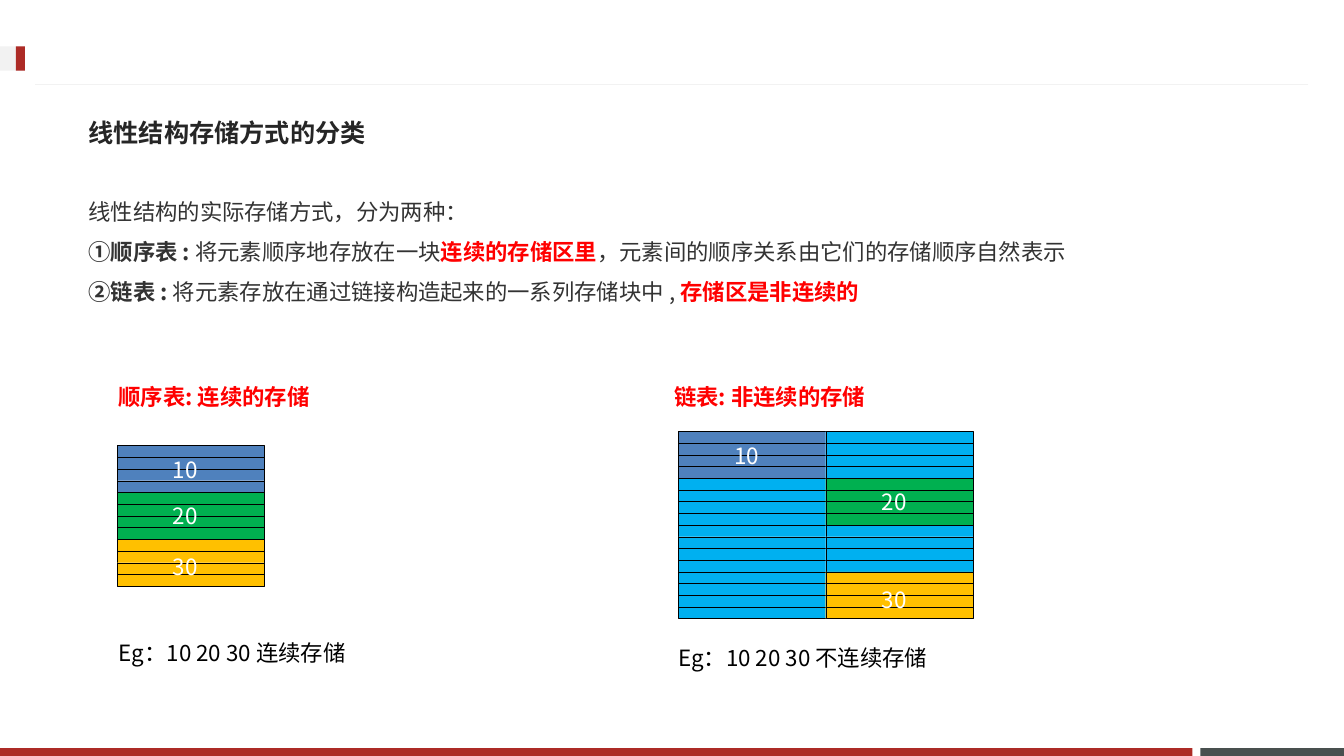
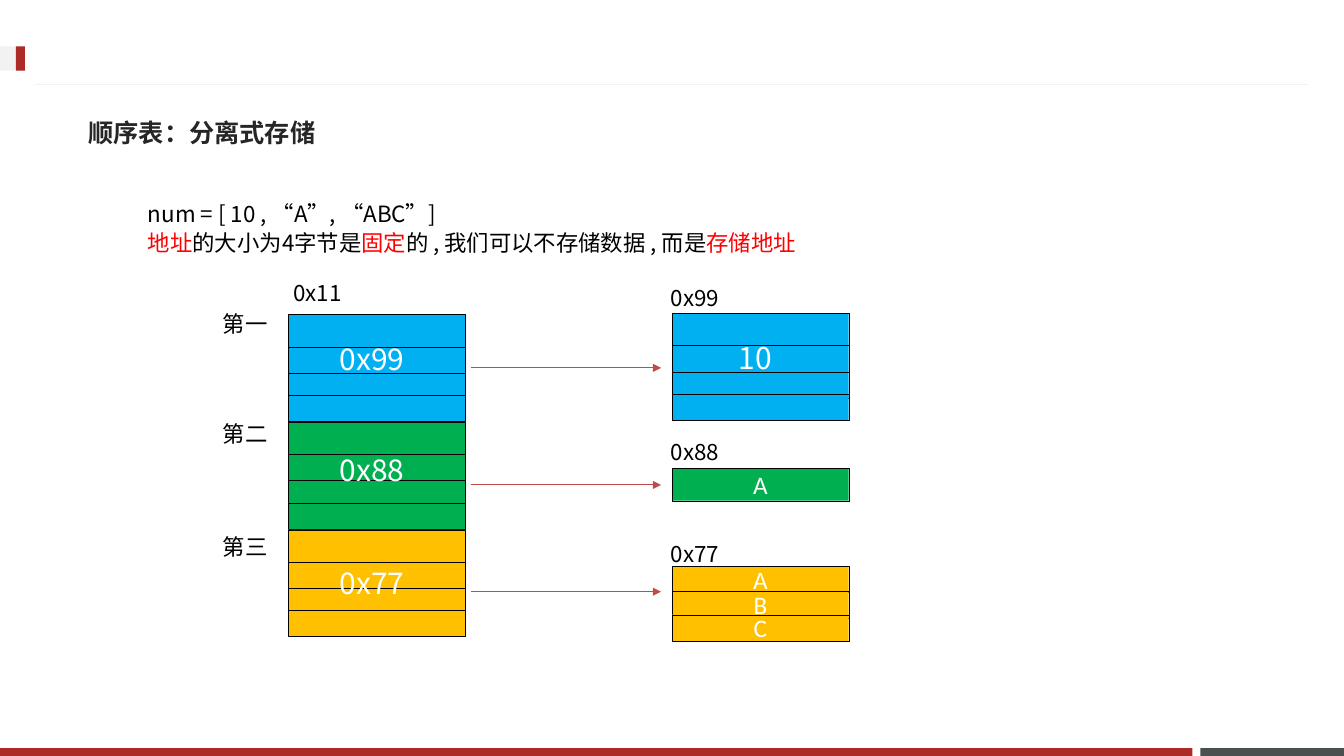
from dataclasses import dataclass
from lxml.etree import SubElement
from pptx import Presentation
from pptx.dml.color import RGBColor
from pptx.enum.shapes import MSO_CONNECTOR as Connector, MSO_SHAPE as Shape
from pptx.enum.text import MSO_ANCHOR as Anchor, PP_ALIGN as Align
from pptx.oxml.ns import qn
from pptx.util import Cm, Pt


@dataclass(frozen=True)
class Theme:
    brand: str = "AD2B26"
    slate: str = "49504F"
    pale: str = "F2F2F2"
    title: str = "262626"
    body: str = "333333"
    black: str = "000000"
    white: str = "FFFFFF"
    accent: str = "FF0000"
    arrow: str = "BF4C48"
    navy: str = "4F81BD"
    sky: str = "00B0F0"
    green: str = "00B050"
    amber: str = "FFC000"
    title_font: str = "Noto Sans CJK JP"
    text_font: str = "Noto Sans CJK SC"
    cell_font: str = "Calibri"
    title_size: float = 18
    text_size: float = 16
    value_size: float = 21.4
    cell_size: float = 18
    hairline: float = 0.25
    rule: float = 0.75


THEME = Theme()
WIDTH, HEIGHT = 33.87, 19.05
CELL_WIDTH, MEMORY_WIDTH = 3.71, 4.45
WORD_HEIGHT = 1.18
BYTE_ROWS = [(index * WORD_HEIGHT / 4, WORD_HEIGHT / 4) for index in range(4)]
MEMORY_ROWS = [(0, 0.81), (0.81, 0.66), (1.47, 0.66), (2.03, 0.66)]
LETTER_ROWS = [(0, 0.66), (0.64, 0.66), (1.22, 0.66)]


def lengths(*values):
    return [Cm(value) for value in values]


def apply(target, formats):
    for name, value in formats.items():
        setattr(target, name, value)


def add_run(paragraph, text, color=THEME.black, size=THEME.text_size,
            font=THEME.text_font, bold=False):
    run = paragraph.add_run()
    run.text = text
    apply(run.font, {"size": Pt(size), "bold": bold, "name": font})
    run.font.color.rgb = RGBColor.from_string(color)
    SubElement(run._r.get_or_add_rPr(), qn("a:ea"), typeface=font)


def add_text(slide, box, lines, spacing=None, anchor=Anchor.TOP, **formats):
    frame = slide.shapes.add_textbox(*lengths(*box)).text_frame
    apply(frame, {"word_wrap": True, "vertical_anchor": anchor})
    if isinstance(lines, str):
        lines = [[(lines, {})]]
    for index, runs in enumerate(lines):
        paragraph = frame.add_paragraph() if index else frame.paragraphs[0]
        if spacing:
            paragraph.line_spacing = spacing
        for text, extra in runs:
            add_run(paragraph, text, **{**formats, **extra})


def add_block(slide, box, fill, outlined=False, letter=""):
    shape = slide.shapes.add_shape(Shape.RECTANGLE, *lengths(*box))
    shape.shadow.inherit = False
    shape.fill.solid()
    shape.fill.fore_color.rgb = RGBColor.from_string(fill)
    if outlined:
        shape.line.color.rgb = RGBColor.from_string(THEME.black)
        shape.line.width = Pt(THEME.hairline)
    else:
        shape.line.fill.background()
    if letter:
        apply(shape.text_frame, {"vertical_anchor": Anchor.MIDDLE})
        paragraph = shape.text_frame.paragraphs[0]
        paragraph.alignment = Align.CENTER
        add_run(paragraph, letter, THEME.white, THEME.cell_size, THEME.cell_font)


def add_line(slide, start, end, color, arrow=False):
    connector = slide.shapes.add_connector(
        Connector.STRAIGHT, *lengths(*start, *end))
    connector.line.color.rgb = RGBColor.from_string(color)
    connector.line.width = Pt(THEME.rule)
    if arrow:
        SubElement(connector.line._get_or_add_ln(), qn("a:tailEnd"), type="triangle")
    SubElement(connector._element.spPr, qn("a:effectLst"))


def add_frame(slide, title):
    add_block(slide, (30.25, 18.85, 3.62, 0.2), THEME.slate)
    add_block(slide, (0, 18.85, 30.05, 0.2), THEME.brand)
    add_line(slide, (32.97, 2.13), (0.89, 2.13), THEME.pale)
    add_block(slide, (0, 1.17, 0.63, 0.61), THEME.pale)
    add_block(slide, (0.4, 1.17, 0.23, 0.61), THEME.brand)
    add_text(slide, (1.98, 2.62, 29.72, 1.45), title, anchor=Anchor.MIDDLE,
             color=THEME.title, size=THEME.title_size,
             font=THEME.title_font, bold=True)


def add_stack(slide, left, top, width, rows, fill, letters=""):
    for index, (offset, height) in enumerate(rows):
        add_block(slide, (left, top + offset, width, height), fill,
                  True, letters[index:index + 1])


def add_value(slide, left, top, text, size=THEME.text_size):
    add_text(slide, (left, top, 2.3, 1), text, color=THEME.white, size=size)


def add_words(slide, left, top, words):
    for index, (fill, value, shift) in enumerate(words):
        word_top = top + index * WORD_HEIGHT
        add_stack(slide, left, word_top, CELL_WIDTH, BYTE_ROWS, fill)
        if value:
            add_value(slide, left + 1.16, word_top + shift, value)


def add_caption(slide, left, top, text):
    add_text(slide, (left, top, 5.35, 0.94), text,
             color=THEME.accent, bold=True)


def add_sequential(slide, left, top):
    add_caption(slide, left, top, "顺序表: 连续的存储")
    add_words(slide, left + 0.21, top + 1.7, [
        (THEME.navy, "10", 0.15), (THEME.green, "20", 0.13),
        (THEME.amber, "30", 0.23)])
    add_text(slide, (left, top + 6.45, 7.2, 0.94), "Eg：10 20 30 连续存储")


def add_linked(slide, left, top):
    add_caption(slide, left, top, "链表: 非连续的存储")
    free = (THEME.sky, "", 0)
    columns = [
        [(THEME.navy, "10", 0.15), free, free, free],
        [free, (THEME.green, "20", 0.13), free, (THEME.amber, "30", 0.23)]]
    for index, words in enumerate(columns):
        add_words(slide, left + 0.36 + index * CELL_WIDTH, top + 1.35, words)
    add_text(slide, (left + 0.1, top + 6.58, 7.6, 0.94),
             "Eg：10 20 30 不连续存储")


def build_classification(slide):
    add_frame(slide, "线性结构存储方式的分类")
    strong = {"bold": True}
    alert = {"bold": True, "color": THEME.accent}
    add_text(slide, (1.98, 4.52, 25.73, 3.23), [
        [("线性结构的实际存储方式，分为两种：", {})],
        [("①顺序表 : ", strong), ("将元素顺序地存放在一块", {}),
         ("连续的存储区里", alert),
         ("，元素间的顺序关系由它们的存储顺序自然表示", {})],
        [("②链表 : ", strong),
         ("将元素存放在通过链接构造起来的一系列存储块中 , ", {}),
         ("存储区是非连续的", alert)],
    ], spacing=1.5, color=THEME.body)
    add_sequential(slide, 2.74, 9.53)
    add_linked(slide, 16.74, 9.52)


def add_address_table(slide, left, top):
    add_text(slide, (left - 0.13, top - 1.02, 2.2, 0.94), "0x11")
    entries = [("第一", -0.23, THEME.sky, "0x99", 0.53),
               ("第二", -0.18, THEME.green, "0x88", 0.61),
               ("第三", -0.03, THEME.amber, "0x77", 0.76)]
    for index, (ordinal, rise, fill, address, shift) in enumerate(entries):
        entry_top = top + index * 2.71
        add_stack(slide, left, entry_top, MEMORY_WIDTH, MEMORY_ROWS, fill)
        add_text(slide, (left - 1.9, entry_top + rise, 1.8, 0.94), ordinal)
        add_value(slide, left + 1.04, entry_top + shift, address, THEME.value_size)


def add_targets(slide, left, top):
    targets = [("0x99", 0, 0.86, MEMORY_ROWS, THEME.sky, "", 1.37),
               ("0x88", 3.91, 0.89, MEMORY_ROWS[:1], THEME.green, "A", 0.41),
               ("0x77", 6.37, 0.79, LETTER_ROWS, THEME.amber, "ABC", 0.64)]
    for address, drop, rise, rows, fill, letters, arrow_drop in targets:
        target_top = top + drop
        add_stack(slide, left, target_top, MEMORY_WIDTH, rows, fill, letters)
        add_text(slide, (left - 0.28, target_top - rise, 2.2, 0.94), address)
        arrow_top = target_top + arrow_drop
        add_line(slide, (left - 5.08, arrow_top), (left - 0.28, arrow_top),
                 THEME.arrow, True)
    add_value(slide, left + 1.42, top + 0.53, "10", THEME.value_size)


def build_separated(slide):
    add_frame(slide, "顺序表：分离式存储")
    alert = {"color": THEME.accent}
    add_text(slide, (3.48, 4.93, 9, 0.94), "num = [ 10 , “A”, “ABC”]")
    add_text(slide, (3.48, 5.64, 17.2, 0.94), [
        [("地址", alert), ("的大小为4字节是", {}), ("固定", alert),
         ("的 , 我们可以不存储数据 , 而是", {}), ("存储地址", alert)]])
    add_address_table(slide, 7.27, 7.93)
    add_targets(slide, 16.94, 7.9)


def main():
    presentation = Presentation()
    apply(presentation, {"slide_width": Cm(WIDTH), "slide_height": Cm(HEIGHT)})
    for build in (build_classification, build_separated):
        build(presentation.slides.add_slide(presentation.slide_layouts[6]))
    presentation.save("out.pptx")


if __name__ == "__main__":
    main()
